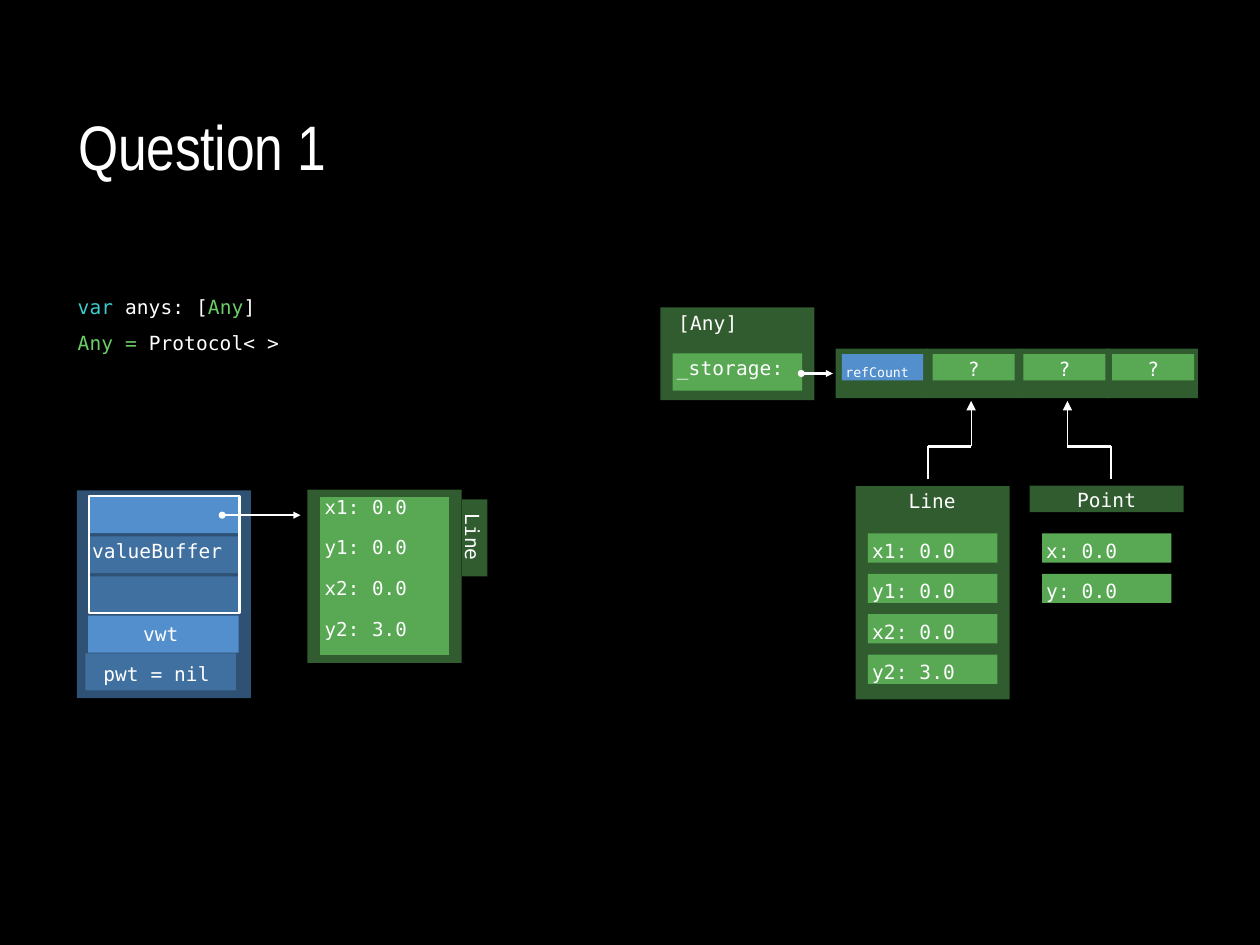
from lxml.etree import SubElement as Sub
from pptx import Presentation
from pptx.dml.color import RGBColor
from pptx.enum.shapes import MSO_CONNECTOR as Link, MSO_SHAPE as Form
from pptx.enum.text import MSO_ANCHOR as Anchor, PP_ALIGN as Align
from pptx.oxml.ns import qn
from pptx.util import Pt

WHITE, BLACK = "FFFFFF", "000000"
DARK, GREEN = "305C2F", "58A854"
NAVY, BLUE = "2E5174", "528FCC"
TEAL, LIME = "3DCCCD", "6CCE67"
PLAIN = "{2D5ABB26-0587-4C30-8999-92F81FD0307C}"


def tint(code):
    return RGBColor.from_string(code)


def write(para, text, size=20.4, color=WHITE, face="DejaVu Sans Mono", gap=10):
    run = para.add_run()
    run.text = text
    run.font.size = Pt(size)
    run.font.name = face
    run.font.color.rgb = tint(color)
    run.font._element.set("spc", str(gap))


class Board:
    def __init__(self, slide):
        self.slide = slide
        self.line = 2.47
        slide.background.fill.solid()
        slide.background.fill.fore_color.rgb = tint(BLACK)

    def frame(self, shape, left=0, top=0):
        frame = shape.text_frame
        frame.word_wrap = True
        frame.vertical_anchor = Anchor.TOP
        frame.margin_left, frame.margin_top = Pt(left), Pt(top)
        frame.margin_right = frame.margin_bottom = 0
        return frame

    def box(self, x, y, w, h, fill=None, text=None, left=0, top=0,
            align=Align.LEFT, alpha=None, **style):
        shape = self.slide.shapes.add_shape(Form.RECTANGLE, Pt(x), Pt(y), Pt(w), Pt(h))
        shape.shadow.inherit = False
        if fill:
            shape.fill.solid()
            shape.fill.fore_color.rgb = tint(fill)
            shape.line.fill.background()
        else:
            shape.fill.background()
            shape.line.color.rgb = tint(WHITE)
            shape.line.width = Pt(self.line)
        if alpha:
            color = shape._element.spPr.find(".//" + qn("a:srgbClr"))
            Sub(color, qn("a:alpha"), val=str(alpha * 1000))
        if text:
            para = self.frame(shape, left, top).paragraphs[0]
            para.alignment = align
            write(para, text, **style)

    def text(self, x, y, w, h, lines, space=None, turn=False, **style):
        frame = self.frame(self.slide.shapes.add_textbox(Pt(x), Pt(y), Pt(w), Pt(h)))
        if turn:
            frame._txBody.bodyPr.set("vert", "vert")
        for i, parts in enumerate(lines):
            para = frame.add_paragraph() if i else frame.paragraphs[0]
            if space:
                para.line_spacing = space
            for words, color in parts:
                write(para, words, color=color, **style)

    def wire(self, x1, y1, x2, y2, width=None, dot=False, tip=None):
        wire = self.slide.shapes.add_connector(
            Link.STRAIGHT, Pt(x1), Pt(y1), Pt(x2), Pt(y2))
        wire.line.color.rgb = tint(WHITE)
        wire.line.width = Pt(width or self.line)
        part = wire._element.spPr
        line = part.find(qn("a:ln"))
        if dot:
            Sub(line, qn("a:headEnd"), type="oval")
        if tip:
            Sub(line, qn("a:tailEnd"), type="triangle", w=tip, len=tip)
        Sub(part, qn("a:effectLst"))

    def grid(self, x, y, cols, rows, data):
        shape = self.slide.shapes.add_table(
            len(rows), len(cols), Pt(x), Pt(y), Pt(sum(cols)), Pt(sum(rows)))
        table = shape.table
        table.first_row = table.horz_banding = False
        table._tbl.tblPr.find(qn("a:tableStyleId")).text = PLAIN
        for col, width in zip(table.columns, cols):
            col.width = Pt(width)
        for row, height, words in zip(table.rows, rows, data):
            row.height = Pt(height)
            for cell, word, left in zip(row.cells, words, (5, 7.2)):
                cell.fill.solid()
                cell.fill.fore_color.rgb = tint(GREEN)
                cell.margin_left = Pt(left)
                cell.margin_top = cell.margin_right = cell.margin_bottom = 0
                write(cell.text_frame.paragraphs[0], word, size=20)


def main():
    deck = Presentation()
    deck.slide_width, deck.slide_height = Pt(1319), Pt(989.3)
    board = Board(deck.slides.add_slide(deck.slide_layouts[6]))

    # Title and code
    board.text(81.7, 112.3, 1156, 80, [[("Question 1", WHITE)]],
               size=65.8, face="Arial Narrow", gap=-10)
    board.text(81.4, 294.5, 310, 78, [
        [("var ", TEAL), ("anys: [", WHITE), ("Any", LIME), ("]", WHITE)],
        [("Any = ", LIME), ("Protocol< >", WHITE)]], space=1.57)

    # Line and Point values
    points = [("x1", "0.0"), ("y1", "0.0"), ("x2", "0.0"), ("y2", "3.0")]
    board.box(895.7, 509, 161.3, 223.2, DARK, "Line", left=55.4, top=3)
    board.box(1077.8, 508.3, 161.3, 28, DARK, "Point", left=49.7, top=3)
    for x, pairs in ((908.6, points), (1090.8, [("x", "0.0"), ("y", "0.0")])):
        for i, pair in enumerate(pairs):
            board.box(x, 558.4 + 42.3 * i, 135.4, 30.6, GREEN,
                      ": ".join(pair), left=4.4, top=5.8)

    # Array and its storage
    board.box(691.2, 321.8, 161.3, 97.2, DARK, "[Any]", left=18.8, top=3.6)
    board.box(704.2, 370.1, 135.4, 38.9, GREEN, "_storage:", left=4.4, top=3)
    for i, x in enumerate((874.8, 969.8, 1064.9, 1157.8)):
        board.box(x, 365, 96.3, 51.8, DARK)
        if i:
            board.box(x + 6.5, 370.8, 85.8, 27.4, GREEN, "?", top=2.9,
                      align=Align.CENTER)
        else:
            board.box(x + 6.5, 370.8, 85, 27.4, BLUE, "refCount", left=3.6,
                      top=10.2, size=13.8, gap=0)
    board.wire(838.8, 391, 871.9, 391, dot=True, tip="med")

    # Arrows from the values to their slots
    for low, high in ((971.3, 1016.6), (1162.8, 1117.4)):
        board.wire(low, 501.8, low, 467.3)
        board.wire(low, 467.3, high, 467.3)
        board.wire(high, 467.3, high, 419.8, width=0.25, tip="lg")

    # Line on the heap
    board.box(483.8, 522.7, 26.6, 80.6, DARK)
    board.text(483.1, 537.8, 20.9, 51.1, [[("Line", WHITE)]],
               space=Pt(21.3), turn=True, gap=0)
    board.box(321.8, 512.6, 161.5, 181.4, DARK)
    board.grid(334.8, 519.8, (47.5, 87.9), (42.5, 42.5, 42.5, 38.9),
               [(name + ":", value) for name, value in points])

    # Container with its value buffer
    board.box(80.6, 513.4, 182.2, 217.4, NAVY)
    for i, (text, alpha) in enumerate(((None, None), ("valueBuffer", 50), (None, 50))):
        board.box(92.9, 519.8 + 41.8 * i, 157.7, 38.5, BLUE, text,
                  left=3.6, top=2.9, alpha=alpha)
    board.box(92.9, 519.1, 157.7, 122.8)
    board.box(92.2, 644.4, 157.7, 38.9, BLUE, "vwt", left=57.6, top=6.5)
    board.box(89.3, 684, 157.7, 38.9, BLUE, "pwt = nil", left=18.8, top=8.6, alpha=50)
    board.wire(232.6, 539.3, 314.6, 539.3, dot=True, tip="med")

    deck.save("out.pptx")


if __name__ == "__main__":
    main()
